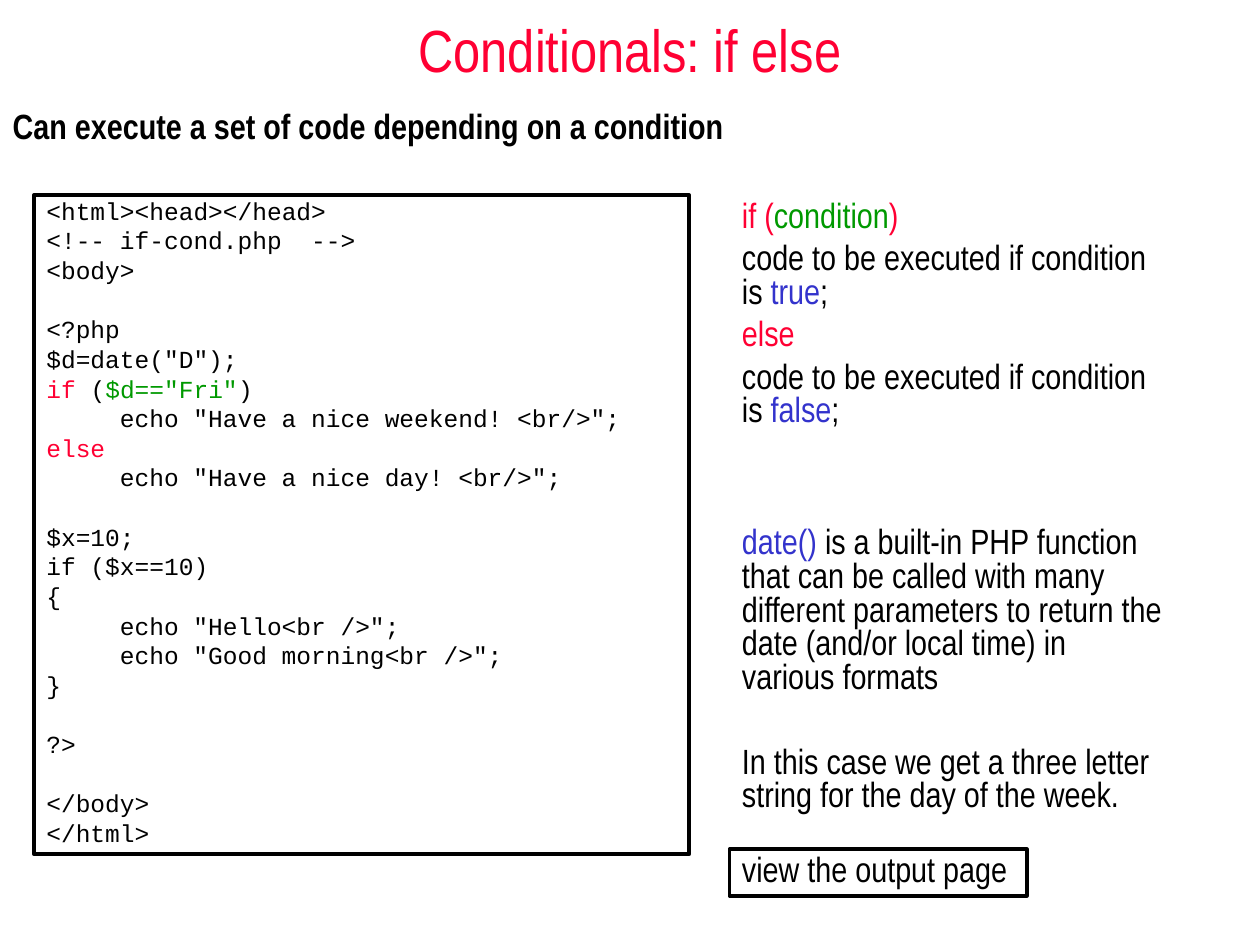
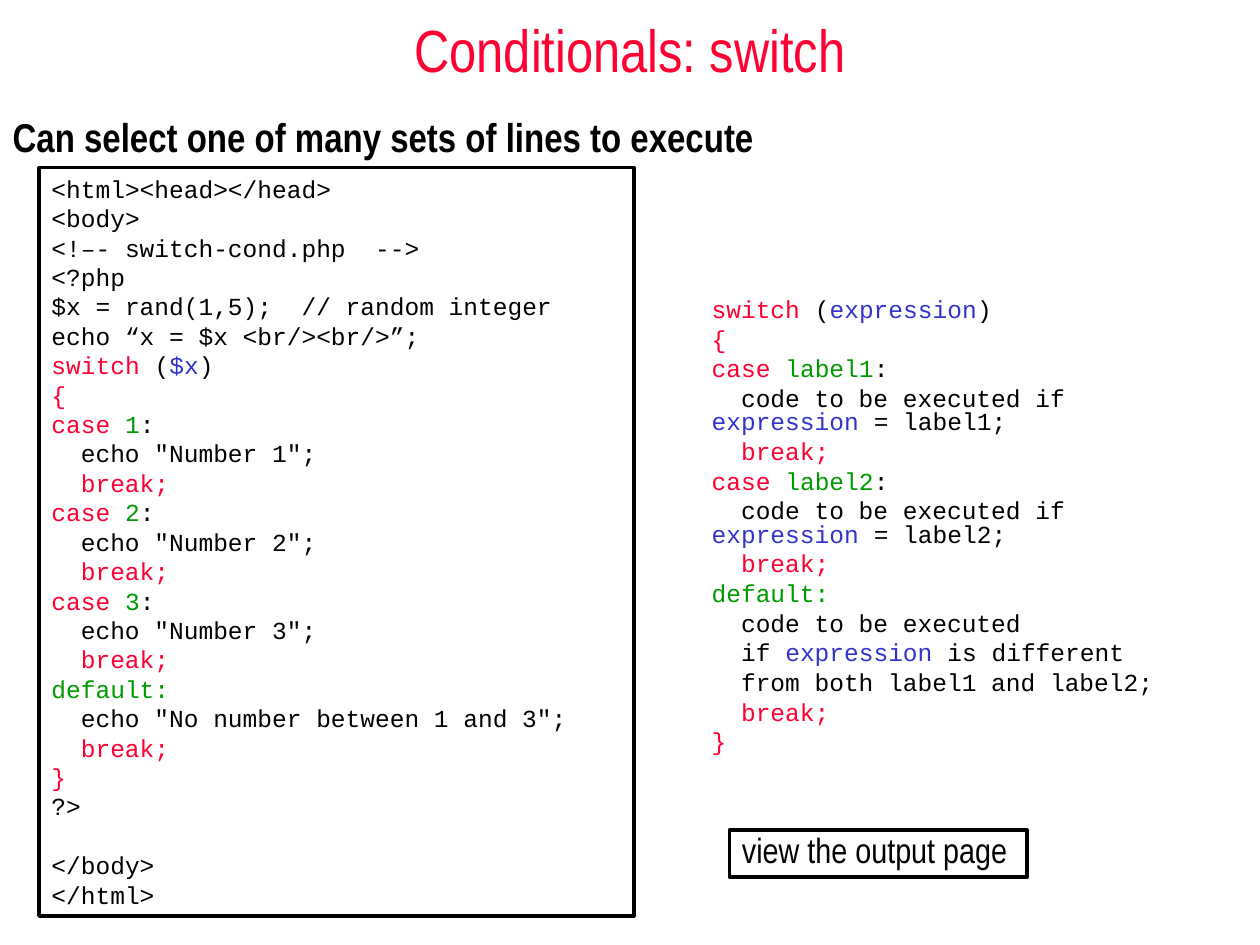
from pptx import Presentation
from pptx.dml.color import RGBColor
from pptx.enum.shapes import MSO_SHAPE
from pptx.enum.text import MSO_ANCHOR, MSO_AUTO_SIZE, PP_ALIGN
from pptx.util import Inches, Pt
from lxml import etree

RECT = MSO_SHAPE.RECTANGLE
TOP, MIDDLE = MSO_ANCHOR.TOP, MSO_ANCHOR.MIDDLE
GROW, FIXED = MSO_AUTO_SIZE.SHAPE_TO_FIT_TEXT, MSO_AUTO_SIZE.NONE
LEFT, CENTER = PP_ALIGN.LEFT, PP_ALIGN.CENTER

COLORS = {"red": "FF0033", "green": "009900", "blue": "3333CC", "black": "000000"}
NARROW, MONO = "Arial Narrow", "Courier New"
CHAR_WIDTH = 0.6
LINE_HEIGHT = 1.2
A = "{http://schemas.openxmlformats.org/drawingml/2006/main}"


def write(tf, lines, font, size, before=0, spacing=1.0, bold=False, align=LEFT):
    tf.word_wrap = True
    p, gap = tf.paragraphs[0], 0
    for i, line in enumerate(lines):
        if not line:
            gap += size * LINE_HEIGHT * spacing + before
            continue
        if i:
            p = tf.add_paragraph()
        p.alignment = align
        p.line_spacing = spacing
        p.space_before = Pt(round(before + gap, 2))
        gap = 0
        runs = [(line, "black")] if isinstance(line, str) else line
        first = runs[0][0]
        indent = len(first) - len(first.lstrip())
        if indent:
            p._p.get_or_add_pPr().set("indent", str(Pt(indent * size * CHAR_WIDTH)))
        for j, (text, color) in enumerate(runs):
            r = p.add_run()
            r.text = text if j else text.lstrip()
            r.font.name = font
            r.font.size = Pt(size)
            r.font.bold = bold
            r.font.color.rgb = RGBColor.from_string(COLORS[color])


def add_text(s, box, lines, font, size, before, spacing=0.8, framed=False):
    box = [Inches(v) for v in box]
    if framed:
        sp = s.shapes.add_shape(RECT, *box)
        sp.shadow.inherit = False
        sp.fill.background()
        sp.line.color.rgb = RGBColor.from_string(COLORS["black"])
        sp.line.width = Pt(2.25)
    else:
        sp = s.shapes.add_textbox(*box)
    tf = sp.text_frame
    tf.vertical_anchor = TOP
    tf.auto_size = GROW
    write(tf, lines, font, size, before, spacing)


if_code = [
    "<html><head></head>",
    "<!-- if-cond.php  -->",
    "<body>",
    "",
    "<?php",
    '$d=date("D");',
    [("if", "red"), (" (", "black"), ('$d=="Fri"', "green"), (")", "black")],
    '     echo "Have a nice weekend! <br/>";',
    [("else", "red")],
    '     echo "Have a nice day! <br/>";',
    "",
    "$x=10;",
    "if ($x==10)",
    "{",
    '     echo "Hello<br />";',
    '     echo "Good morning<br />";',
    "}",
    "",
    "?>",
    "",
    "</body>",
    "</html>",
]

if_syntax = [[("if (", "red"), ("condition", "green"), (")", "red")]]
for value in ("true", "false"):
    if value == "false":
        if_syntax.append([("else", "red")])
    if_syntax.append([("code to be executed if condition is", "black"),
                      (f" {value}", "blue"), (";", "black")])

date_notes = [
    [("date()", "blue"),
     (" is a built-in PHP function that can be called with many different "
      "parameters to return the date (and/or local time) in various formats", "black")],
    "",
    "In this case we get a three letter string for the day of the week.",
]

open_brace, close_brace = [("{", "red")], [("}", "red")]
break_line, default_line = [("  break;", "red")], [("default:", "green")]

switch_code = [
    "<html><head></head>",
    "<body>",
    "<!–- switch-cond.php  -->",
    "<?php",
    "$x = rand(1,5);  // random integer",
    "echo “x = $x <br/><br/>”;",
    [("switch ", "red"), ("(", "black"), ("$x", "blue"), (")", "black")],
    open_brace,
]
for n in range(1, 4):
    switch_code += [[("case ", "red"), (str(n), "green"), (":", "black")],
                    f'  echo "Number {n}";', break_line]
switch_code += [default_line, '  echo "No number between 1 and 3";', break_line,
                close_brace, "?>", "", "</body>", "</html>"]

switch_syntax = [
    [("switch ", "red"), ("(", "black"), ("expression", "blue"), (")", "black")],
    open_brace,
]
for label in ("label1", "label2"):
    switch_syntax += [[("case ", "red"), (label, "green"), (":", "black")],
                      [("  code to be executed if ", "black"), ("expression", "blue"),
                       (f" = {label};", "black")],
                      break_line]
switch_syntax += [
    default_line,
    "  code to be executed",
    [("  if ", "black"), ("expression", "blue"), (" is different", "black")],
    "  from both label1 and label2;",
    break_line,
    close_brace,
]

slides = [
    {"title": "Conditionals: if else",
     "lead": "Can execute a set of code depending on a condition",
     "lead_style": (20, 5, 0.8), "lead_height": 0.47, "button_top": 6.74,
     "texts": [((0.27, 1.55, 5.2, 5.23), if_code, MONO, 14, 3.5, 0.8, True),
               ((5.79, 1.55, 3.54, 1.91), if_syntax, NARROW, 20, 5),
               ((5.79, 4.14, 3.54, 2.38), date_notes, NARROW, 20, 5)]},
    {"title": "Conditionals: switch",
     "lead": "Can select one of many sets of lines to execute",
     "lead_style": (23, 5.8, 1.0), "lead_height": 0.55, "button_top": 6.59,
     "texts": [((0.31, 1.33, 4.72, 5.94), switch_code, MONO, 14, 0, 1.0, True),
               ((5.55, 2.33, 3.94, 3.72), switch_syntax, MONO, 14, 3.5)]},
]

prs = Presentation()
prs.slide_width, prs.slide_height = Inches(10), Inches(7.5)

for page in slides:
    s = prs.slides.add_slide(prs.slide_layouts[1])
    title, body = s.shapes.title, s.placeholders[1]
    for sp, top, height in ((title, 0, 0.78), (body, 0.84, page["lead_height"])):
        sp.left, sp.top = Inches(0), Inches(top)
        sp.width, sp.height = Inches(10), Inches(height)
        sp.text_frame.auto_size = FIXED
    title.text_frame.vertical_anchor = MIDDLE
    write(title.text_frame, [[(page["title"], "red")]], NARROW, 34, align=CENTER)

    size, before, spacing = page["lead_style"]
    write(body.text_frame, [page["lead"]], NARROW, size, before, spacing, bold=True)
    pPr = body.text_frame.paragraphs[0]._p.get_or_add_pPr()
    pPr.set("marL", str(Inches(0.35)))
    pPr.set("indent", str(Inches(-0.35)))
    etree.SubElement(pPr, A + "buNone")

    for text in page["texts"]:
        add_text(s, *text)
    add_text(s, (5.79, page["button_top"], 2.36, 0.37), ["view the output page"],
             NARROW, 20, 12.5, framed=True)

prs.save("out.pptx")
